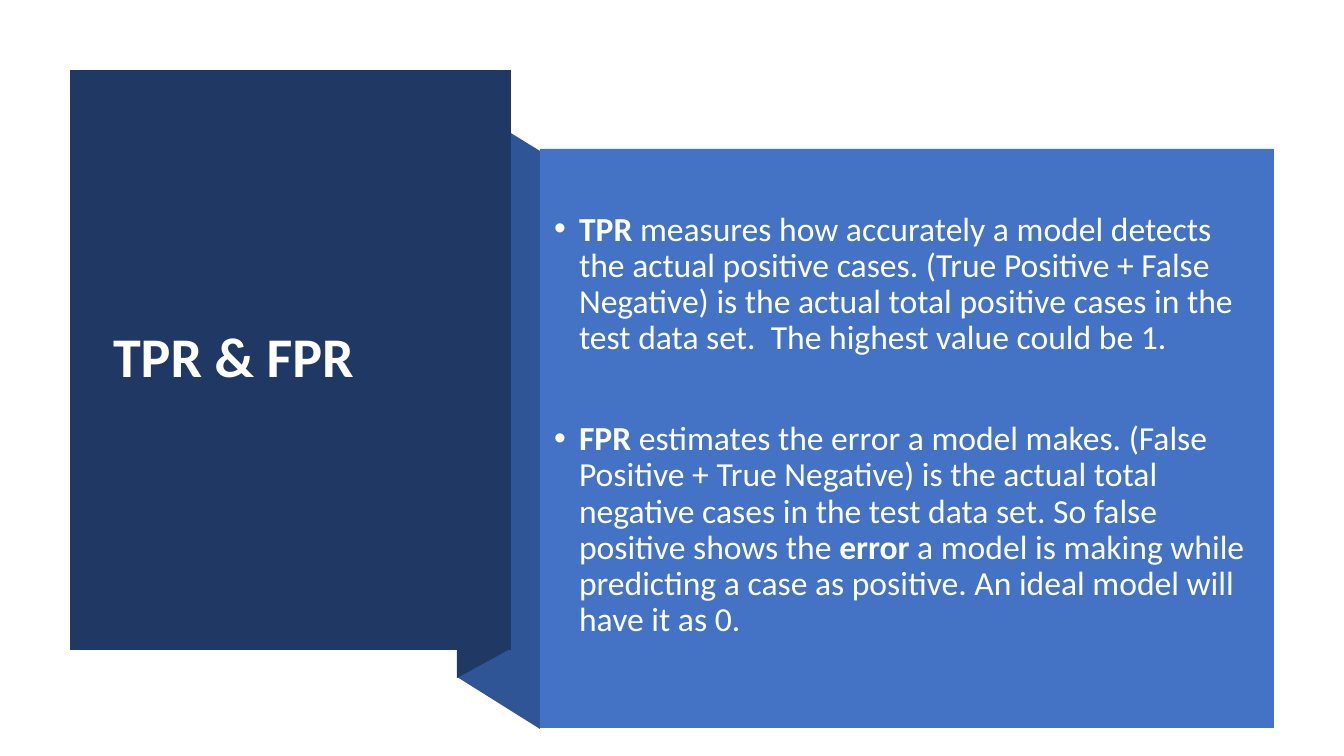
import dataclasses

import lxml.etree
import pptx
import pptx.dml.color
import pptx.enum.shapes
import pptx.enum.text
import pptx.oxml.ns
import pptx.util

SCALE = 914400 / 100.8  # EMU in one pixel


def px(val: float) -> pptx.util.Emu:
    return pptx.util.Emu(round(val * SCALE))


# Theme
@dataclasses.dataclass(frozen=True)
class Theme:
    font: str = "Calibri"
    navy: str = "203864"
    fold: str = "2F5597"
    blue: str = "4472C4"
    white: str = "FFFFFF"
    soft: str = "FEFFFF"
    head: int = 40
    body: int = 24
    line: float = 0.9


THEME = Theme()


# Repeated elements
@dataclasses.dataclass(frozen=True)
class Box:
    left: int
    top: int
    width: int
    height: int


@dataclasses.dataclass(frozen=True)
class Panel:
    box: Box
    fill: str


@dataclasses.dataclass(frozen=True)
class Flap:
    points: tuple[tuple[int, int], ...]
    fill: str


@dataclasses.dataclass(frozen=True)
class Point:
    before: int
    words: tuple[tuple[str, bool], ...]  # wording and bold


FLAPS = (
    Flap(((540, 729), (457, 677), (457, 100), (540, 151)), THEME.fold),
    Flap(((510, 649), (457, 678), (457, 99), (510, 70)), THEME.navy),
)
PANELS = (
    Panel(Box(70, 70, 441, 580), THEME.navy),
    Panel(Box(540, 149, 734, 579), THEME.blue),
)
POINTS = (
    Point(10, (
        ("TPR", True),
        (" measures how accurately a model detects the actual positive cases. "
         "(True Positive + False Negative) is the actual total positive cases "
         "in the test data set.  The highest value could be 1.", False),
    )),
    Point(46, (
        ("FPR", True),
        (" estimates the error a model makes. (False Positive + True Negative) "
         "is the actual total negative cases in the test data set. "
         "So false positive shows the ", False),
        ("error", True),
        (" a model is making while predicting a case as positive. "
         "An ideal model will have it as 0.", False),
    )),
)


# Drawing
def paint(shape, fill: str) -> None:
    shape.shadow.inherit = False
    shape.fill.solid()
    shape.fill.fore_color.rgb = pptx.dml.color.RGBColor.from_string(fill)
    shape.line.fill.background()


def draw_flap(slide, flap: Flap) -> None:
    pen = slide.shapes.build_freeform(*flap.points[0], scale=SCALE)
    pen.add_line_segments(flap.points[1:], close=True)
    paint(pen.convert_to_shape(), flap.fill)


def draw_panel(slide, panel: Panel) -> None:
    kind = pptx.enum.shapes.MSO_SHAPE.RECTANGLE
    sides = map(px, dataclasses.astuple(panel.box))
    paint(slide.shapes.add_shape(kind, *sides), panel.fill)


def place(holder, box: Box) -> None:
    """Move a placeholder to its box, in front of the panels."""
    holder.left, holder.top = px(box.left), px(box.top)
    holder.width, holder.height = px(box.width), px(box.height)
    holder.element.getparent().append(holder.element)
    frame = holder.text_frame
    frame.word_wrap = True
    frame.auto_size = pptx.enum.text.MSO_AUTO_SIZE.NONE
    frame.vertical_anchor = pptx.enum.text.MSO_ANCHOR.MIDDLE


def style(run, size: int, color: str, bold: bool) -> None:
    run.font.name = THEME.font
    run.font.size = pptx.util.Pt(size)
    run.font.bold = bold
    run.font.color.rgb = pptx.dml.color.RGBColor.from_string(color)


def set_para(para, before: int) -> None:
    para.alignment = pptx.enum.text.PP_ALIGN.LEFT
    para.line_spacing = THEME.line
    para.space_before = pptx.util.Pt(before)


def add_dot(para, indent: int) -> None:
    props = para._p.get_or_add_pPr()
    props.set("marL", str(px(indent)))
    props.set("indent", str(-px(indent)))
    for tag, key, val in (("a:buFont", "typeface", "Arial"),
                          ("a:buChar", "char", "•")):
        name = pptx.oxml.ns.qn(tag)
        lxml.etree.SubElement(props, name).set(key, val)


def write_point(para, point: Point) -> None:
    set_para(para, point.before)
    add_dot(para, 25)
    for text, bold in point.words:
        run = para.add_run()
        run.text = text
        style(run, THEME.body, THEME.soft, bold)


def main() -> None:
    deck = pptx.Presentation()
    deck.slide_width, deck.slide_height = px(1344), px(756)
    slide = deck.slides.add_slide(deck.slide_layouts[1])

    # Folded ribbon and panels
    for flap in FLAPS:
        draw_flap(slide, flap)
    for panel in PANELS:
        draw_panel(slide, panel)

    # Title
    title = slide.shapes.title
    place(title, Box(103, 108, 374, 503))
    title.text_frame.text = "TPR & FPR"
    para = title.text_frame.paragraphs[0]
    set_para(para, 0)
    style(para.runs[0], THEME.head, THEME.white, True)

    # Definitions
    body = slide.placeholders[1]
    place(body, Box(544, 184, 730, 483))
    frame = body.text_frame
    for num, point in enumerate(POINTS):
        para = frame.add_paragraph() if num else frame.paragraphs[0]
        write_point(para, point)

    deck.save("out.pptx")


main()
